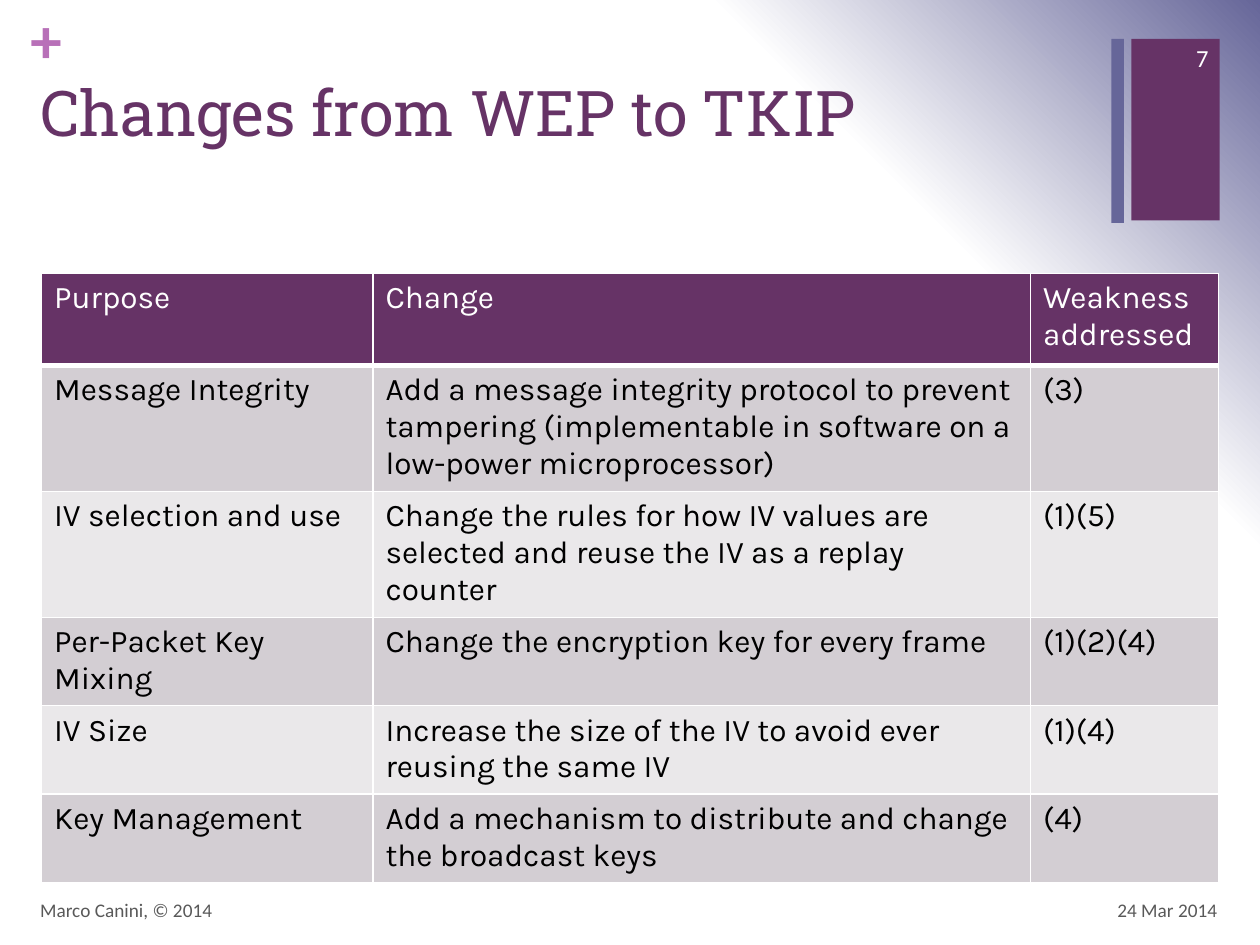
"""Build the slide that lists the changes from WEP to TKIP."""
from lxml.etree import SubElement
from pptx import Presentation
from pptx.dml.color import RGBColor
from pptx.enum.shapes import MSO_SHAPE
from pptx.enum.text import MSO_ANCHOR as ANCHOR, MSO_AUTO_SIZE as AUTO, PP_ALIGN as ALIGN
from pptx.oxml import parse_xml
from pptx.oxml.ns import nsdecls, qn
from pptx.util import Inches, Pt

COLORS = {
    "purple": "663366", "blue": "666699", "orchid": "B870B8", "white": "FFFFFF",
    "black": "000000", "gray": "595959", "dark_band": "D3CED3", "light_band": "EAE8EA",
}


def write(frame, text, size, font, color, align=ALIGN.LEFT, bold=False):
    para = frame.paragraphs[0]
    para.alignment = align
    span = para.add_run()
    span.text = text
    span.font.size = Pt(size)
    span.font.name = font
    span.font.bold = bold
    span.font.color.rgb = RGBColor.from_string(COLORS[color])


def set_borders(cell, widths):
    properties = cell._tc.get_or_add_tcPr()
    for position, (side, width) in enumerate(widths.items()):
        line = properties.makeelement(qn(f"a:{side}"), {"w": str(Pt(width))})
        fill = SubElement(line, qn("a:solidFill"))
        SubElement(fill, qn("a:srgbClr"), val=COLORS["white"])
        properties.insert(position, line)


deck = Presentation()
deck.slide_width, deck.slide_height = Inches(10), Inches(7.5)
page = deck.slides.add_slide(deck.slide_layouts[5])

stops = "".join(
    f'<a:gs pos="{percent * 1000}"><a:srgbClr val="{COLORS[color]}"/></a:gs>'
    for percent, color in [(0, "white"), (75, "white"), (100, "blue")]
)
background = parse_xml(
    f'<p:bg {nsdecls("p", "a")}><p:bgPr><a:gradFill rotWithShape="1"><a:gsLst>{stops}</a:gsLst>'
    '<a:path path="circle"><a:fillToRect t="100000" r="100000"/></a:path></a:gradFill>'
    "<a:effectLst/></p:bgPr></p:bg>"
)
page._element.cSld.insert(0, background)

for left, width, height, color in [(8.98, 0.7, 1.44, "purple"), (8.82, 0.1, 1.46, "blue")]:
    bar = page.shapes.add_shape(
        MSO_SHAPE.RECTANGLE, Inches(left), Inches(0.31), Inches(width), Inches(height)
    )
    bar.shadow.inherit = False
    bar.fill.solid()
    bar.fill.fore_color.rgb = RGBColor.from_string(COLORS[color])
    bar.line.fill.background()

plus = page.shapes.add_textbox(Inches(0.24), Inches(0), Inches(0.29), Inches(0.61))
frame = plus.text_frame
frame.margin_left = frame.margin_top = frame.margin_right = frame.margin_bottom = 0
frame.word_wrap = True
frame.auto_size = AUTO.SHAPE_TO_FIT_TEXT
write(frame, "+", 36, "Calibri", "orchid", bold=True)

title = page.shapes.title
title.left, title.top = Inches(0.22), Inches(0.53)
title.width, title.height = Inches(8.59), Inches(1.22)
title.text_frame.auto_size = AUTO.NONE
title.text_frame.vertical_anchor = ANCHOR.TOP
write(title.text_frame, "Changes from WEP to TKIP", 36, "Roboto Slab", "purple")

LABELS = [
    ("24 Mar 2014", 7.43, 7.02, 2.33, 11, "gray", ALIGN.RIGHT),
    ("Marco Canini, © 2014", 0.22, 7.02, 6.7, 11, "gray", ALIGN.LEFT),
    ("7", 9.08, 0.26, 0.61, 14, "white", ALIGN.RIGHT),
]
for text, left, top, width, size, color, align in LABELS:
    label = page.shapes.add_textbox(Inches(left), Inches(top), Inches(width), Inches(0.4))
    label.text_frame.word_wrap = True
    label.text_frame.vertical_anchor = ANCHOR.MIDDLE
    write(label.text_frame, text, size, "Calibri", color, align)

ROWS = [
    ("Purpose", "Change", "Weakness addressed"),
    ("Message Integrity",
     "Add a message integrity protocol to prevent tampering "
     "(implementable in software on a low-power microprocessor)", "(3)"),
    ("IV selection and use",
     "Change the rules for how IV values are selected and reuse the IV as a replay counter",
     "(1)(5)"),
    ("Per-Packet Key Mixing", "Change the encryption key for every frame", "(1)(2)(4)"),
    ("IV Size", "Increase the size of the IV to avoid ever reusing the same IV", "(1)(4)"),
    ("Key Management", "Add a mechanism to distribute and change the broadcast keys", "(4)"),
]
holder = page.shapes.add_table(
    len(ROWS), 3, Inches(0.33), Inches(2.17), Inches(9.33), Inches(4.24)
)
table = holder.table
for column, width in zip(table.columns, [2.63, 5.22, 1.49]):
    column.width = Inches(width)
for row_number, texts in enumerate(ROWS):
    header = row_number == 0
    band = "purple" if header else "dark_band" if row_number % 2 else "light_band"
    table.rows[row_number].height = Inches(0.73 if header else 0.41)
    for column_number, text in enumerate(texts):
        cell = table.cell(row_number, column_number)
        cell.fill.solid()
        cell.fill.fore_color.rgb = RGBColor.from_string(COLORS[band])
        set_borders(cell, {"lnL": 1, "lnR": 1, "lnT": 1, "lnB": 3 if header else 1})
        write(cell.text_frame, text, 18, "Karla", "white" if header else "black")
holder.height = Inches(4.24)

deck.save("out.pptx")
